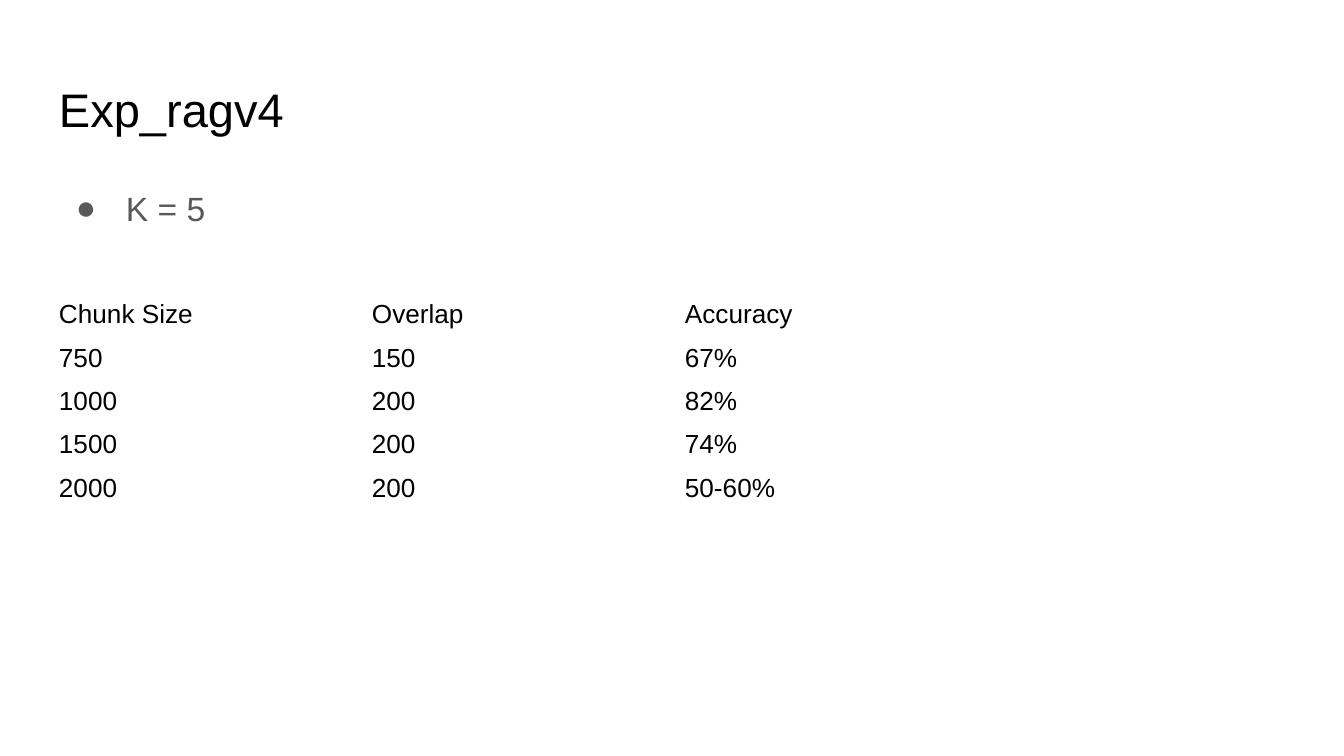
from pptx import Presentation
from pptx import util as u
from pptx.dml.color import RGBColor
from pptx.enum import text
from lxml import etree

PX = 914400 / 134.4


def px(n):
    return u.Emu(round(n * PX))


def write(p, s, size, color):
    r = p.add_run()
    r.text = s
    for k, v in {"name": "Arial", "size": u.Pt(size)}.items():
        setattr(r.font, k, v)
    r.font.color.rgb = RGBColor.from_string(color)


prs = Presentation()
prs.slide_width, prs.slide_height = px(1344), px(756)
s = prs.slides.add_slide(prs.slide_layouts[6])

boxes = [
    ("Exp_ragv4", 66, 85, 25.2, "000000", text.MSO_ANCHOR.MIDDLE),
    ("K = 5", 169, 503, 18, "595959", text.MSO_ANCHOR.TOP),
]
for line, top, height, size, color, anchor in boxes:
    sp = s.shapes.add_textbox(px(46), px(top), px(1253), px(height))
    tf = sp.text_frame
    fmt = {"word_wrap": True, "vertical_anchor": anchor}
    fmt.update({f"margin_{e}": px(13) for e in ("left", "right", "top", "bottom")})
    for k, v in fmt.items():
        setattr(tf, k, v)
    p = tf.paragraphs[0]
    write(p, line, size, color)

p.line_spacing = 1.15
pPr = p._p.get_or_add_pPr()
pPr.set("marL", str(px(67)))
pPr.set("indent", str(px(-50)))
ns = "{http://schemas.openxmlformats.org/drawingml/2006/main}"
buClr = etree.SubElement(pPr, ns + "buClr")
etree.SubElement(buClr, ns + "srgbClr", val="595959")
etree.SubElement(pPr, ns + "buFont", typeface="Arial")
etree.SubElement(pPr, ns + "buChar", char="●")

rows = [
    ("Chunk Size", "Overlap", "Accuracy"),
    ("750", "150", "67%"),
    ("1000", "200", "82%"),
    ("1500", "200", "74%"),
    ("2000", "200", "50-60%"),
]
tbl = s.shapes.add_table(5, 3, px(46), px(293), px(3 * 313), px(5 * 43)).table
for k in ("first_row", "horz_banding"):
    setattr(tbl, k, False)
cell_fmt = {
    "margin_left": px(13),
    "margin_right": px(13),
    "margin_top": px(6),
    "margin_bottom": px(6),
    "vertical_anchor": text.MSO_ANCHOR.MIDDLE,
}
for i, row in enumerate(rows):
    for j, value in enumerate(row):
        cell = tbl.cell(i, j)
        cell.fill.background()
        for k, v in cell_fmt.items():
            setattr(cell, k, v)
        write(cell.text_frame.paragraphs[0], value, 14, "000000")

prs.save("out.pptx")
